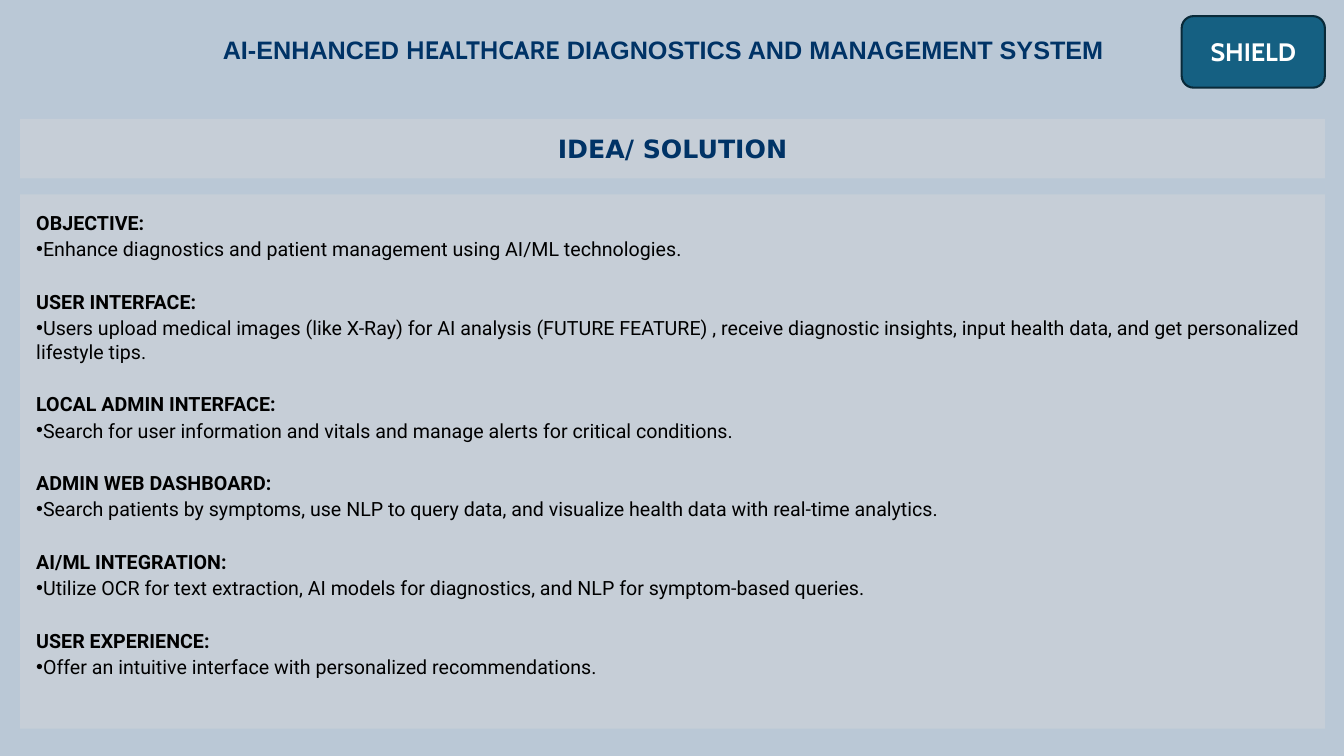
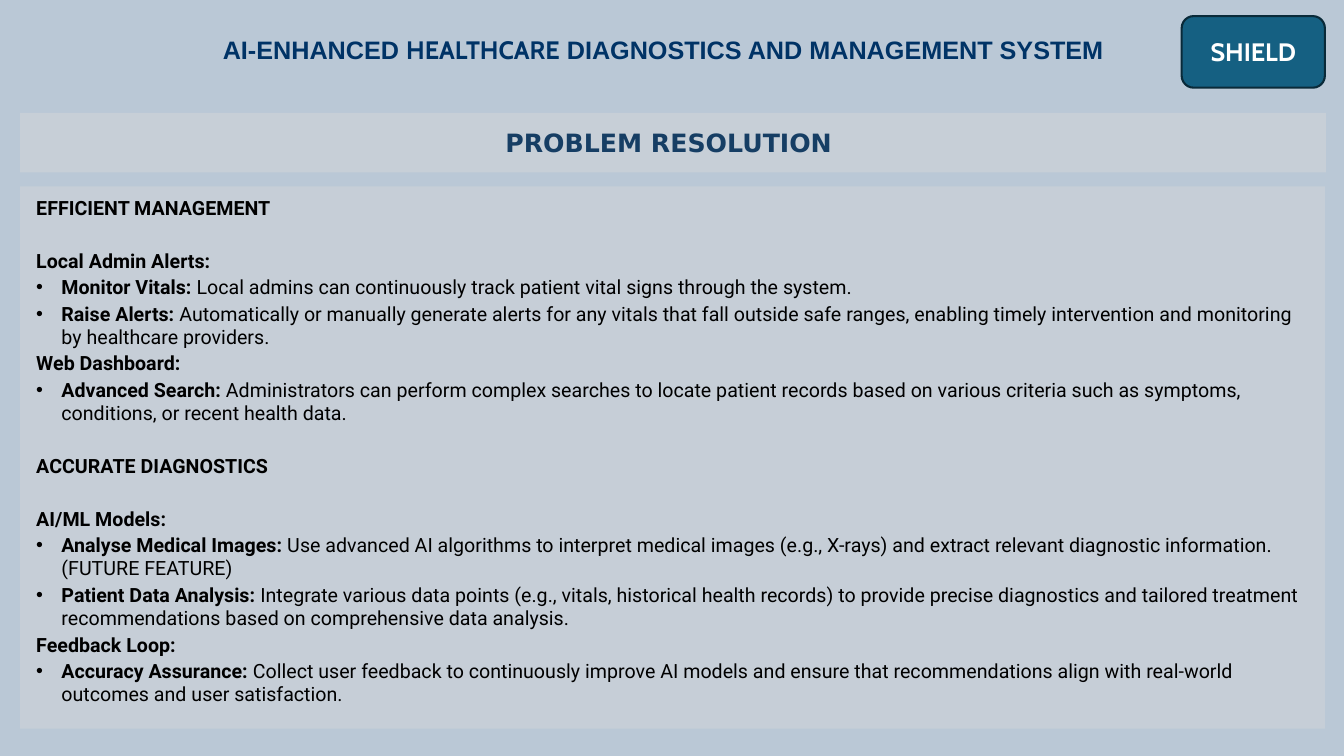
"""Build two slides on an AI-enhanced healthcare system."""
from lxml.etree import SubElement
from pptx import Presentation
from pptx.dml.color import RGBColor
from pptx.enum.shapes import MSO_SHAPE
from pptx.enum.text import MSO_ANCHOR, MSO_AUTO_SIZE, PP_ALIGN
from pptx.oxml.ns import qn
from pptx.util import Inches, Pt

COLORS = {
    "background": "BAC8D6",
    "navy": "003366",
    "slate": "163E64",
    "panel": "D9D9D9",
    "badge": "156082",
    "badge_edge": "092A39",
    "white": "FFFFFF",
    "black": "000000",
}
TITLE_PARTS = [
    ("AI-ENHANCED ", "Arial"),
    ("HEALTHCARE", "Cabin"),
    (" DIAGNOSTICS AND MANAGEMENT SYSTEM", "Arial"),
]
SECTION_GAP = 19.8

IDEA = [
    ("OBJECTIVE:", "Enhance diagnostics and patient management using AI/ML technologies."),
    ("USER INTERFACE:",
     "Users upload medical images (like X-Ray) for AI analysis (FUTURE FEATURE) , receive diagnostic "
     "insights, input health data, and get personalized lifestyle tips."),
    ("LOCAL ADMIN INTERFACE:",
     "Search for user information and vitals and manage alerts for critical conditions."),
    ("ADMIN WEB DASHBOARD:",
     "Search patients by symptoms, use NLP to query data, and visualize health data with real-time analytics."),
    ("AI/ML INTEGRATION:",
     "Utilize OCR for text extraction, AI models for diagnostics, and NLP for symptom-based queries."),
    ("USER EXPERIENCE:", "Offer an intuitive interface with personalized recommendations."),
]
RESOLUTION = [
    ("EFFICIENT MANAGEMENT", [
        ("Local Admin Alerts:", [
            ("Monitor Vitals:", " Local admins can continuously track patient vital signs through the system."),
            ("Raise Alerts:",
             " Automatically or manually generate alerts for any vitals that fall outside safe ranges, "
             "enabling timely intervention and monitoring by healthcare providers."),
        ]),
        ("Web Dashboard:", [
            ("Advanced Search:",
             " Administrators can perform complex searches to locate patient records based on various "
             "criteria such as symptoms, conditions, or recent health data."),
        ]),
    ]),
    ("ACCURATE DIAGNOSTICS", [
        ("AI/ML Models:", [
            ("Analyse Medical Images:",
             " Use advanced AI algorithms to interpret medical images (e.g., X-rays) and extract relevant "
             "diagnostic information.(FUTURE FEATURE)"),
            ("Patient Data Analysis:",
             " Integrate various data points (e.g., vitals, historical health records) to provide precise "
             "diagnostics and tailored treatment recommendations based on comprehensive data analysis."),
        ]),
        ("Feedback Loop:", [
            ("Accuracy Assurance:",
             " Collect user feedback to continuously improve AI models and ensure that recommendations "
             "align with real-world outcomes and user satisfaction."),
        ]),
    ]),
]


def rgb(name):
    """Return a palette colour."""
    return RGBColor.from_string(COLORS[name])


def style_run(run, font, size, color, bold=True):
    """Format one run."""
    run.font.name = font
    run.font.size = Pt(size)
    run.font.bold = bold
    run.font.color.rgb = rgb(color)


def add_box(slide, box, fill, preset=MSO_SHAPE.RECTANGLE, opacity=100):
    """Add a flat borderless shape in a box given in inches."""
    shape = slide.shapes.add_shape(preset, *map(Inches, box))
    shape.shadow.inherit = False
    shape.fill.solid()
    shape.fill.fore_color.rgb = rgb(fill)
    shape.line.fill.background()
    if opacity < 100:
        color = shape._element.spPr.find(qn("a:solidFill"))[0]
        SubElement(color, qn("a:alpha"), val=str(opacity * 1000))
    return shape


def add_caption(shape, text, font, color):
    """Centre a bold caption in a shape."""
    frame = shape.text_frame
    frame.word_wrap = True
    frame.vertical_anchor = MSO_ANCHOR.MIDDLE
    frame.text = text
    caption = frame.paragraphs[0]
    caption.alignment = PP_ALIGN.CENTER
    style_run(caption.runs[0], font, 18, color)


def add_header(slide, box):
    """Place the slide title and the badge in the header box."""
    left, top, width, height = box
    title = slide.shapes.title
    title.left, title.top = Inches(left + 1.91), Inches(top + 0.11)
    title.width, title.height = Inches(9), Inches(0.47)
    frame = title.text_frame
    frame.auto_size = MSO_AUTO_SIZE.NONE
    frame.vertical_anchor = MSO_ANCHOR.MIDDLE
    heading = frame.paragraphs[0]
    heading.alignment = PP_ALIGN.LEFT
    heading.line_spacing = 0.9
    for text, font in TITLE_PARTS:
        run = heading.add_run()
        run.text = text
        style_run(run, font, 18, "navy")

    badge_width = 1.42
    badge = add_box(slide, (left + width - badge_width, top, badge_width, height),
                    "badge", MSO_SHAPE.ROUNDED_RECTANGLE)
    badge.line.color.rgb = rgb("badge_edge")
    badge.line.width = Pt(1.5)
    add_caption(badge, "SHIELD", "Cabin", "white")


def add_panel(slide, box, margins, opacity):
    """Add a content panel and return its text frame."""
    frame = add_box(slide, box, "panel", opacity=opacity).text_frame
    frame.word_wrap = True
    frame.vertical_anchor = MSO_ANCHOR.TOP
    (frame.margin_left, frame.margin_top,
     frame.margin_right, frame.margin_bottom) = map(Inches, margins)
    return frame


def add_line(frame, label="", text="", gap=False, indent=0):
    """Add a bold heading, or a bullet with an optional bold lead-in."""
    first = not frame.paragraphs[0].runs
    line = frame.paragraphs[0] if first else frame.add_paragraph()
    line.alignment = PP_ALIGN.LEFT
    if text:
        properties = line._p.get_or_add_pPr()
        properties.set("marL", str(Inches(indent)))
        properties.set("indent", str(-Inches(indent)))
        SubElement(properties, qn("a:buFont"), typeface="Arial")
        SubElement(properties, qn("a:buChar"), char="•")
    if not first:
        line.space_before = Pt(SECTION_GAP if gap else 1)
    line.space_after = Pt(1)
    for part, bold in ((label, True), (text, False)):
        if part:
            run = line.add_run()
            run.text = part
            style_run(run, "Roboto", 14, "black", bold)
    return line


def new_slide(deck):
    """Add a slide with the shared background and header."""
    slide = deck.slides.add_slide(deck.slide_layouts[5])
    slide.background.fill.solid()
    slide.background.fill.fore_color.rgb = rgb("background")
    add_header(slide, (0.2, 0.16, 12.94, 0.71))
    return slide


def build_idea(deck):
    """Build the idea slide."""
    slide = new_slide(deck)
    band = add_box(slide, (0.2, 1.18, 12.94, 0.59), "panel", opacity=39)
    add_caption(band, "IDEA/ SOLUTION", "DejaVu Sans", "navy")
    frame = add_panel(slide, (0.2, 1.93, 12.94, 5.3), (0.16, 0.16, 0.1, 0.05), 40)
    for heading, detail in IDEA:
        add_line(frame, heading, gap=True)
        add_line(frame, text=detail)


def build_resolution(deck):
    """Build the problem resolution slide."""
    slide = new_slide(deck)
    band = add_box(slide, (0.2, 1.12, 12.95, 0.59), "panel", opacity=42)
    add_caption(band, "PROBLEM RESOLUTION ", "DejaVu Sans", "slate")
    frame = add_panel(slide, (0.2, 1.85, 12.94, 5.38), (0.16, 0.12, 0.08, 0.12), 39)
    for theme, topics in RESOLUTION:
        add_line(frame, theme, gap=True)
        for position, (topic, points) in enumerate(topics):
            add_line(frame, topic, gap=position == 0)
            for label, detail in points:
                add_line(frame, label, detail, indent=0.25)
    frame.paragraphs[0].line_spacing = 0.9


def main():
    """Build and save the deck."""
    deck = Presentation()
    deck.slide_width, deck.slide_height = Inches(13.33), Inches(7.5)
    build_idea(deck)
    build_resolution(deck)
    deck.save("out.pptx")


if __name__ == "__main__":
    main()
